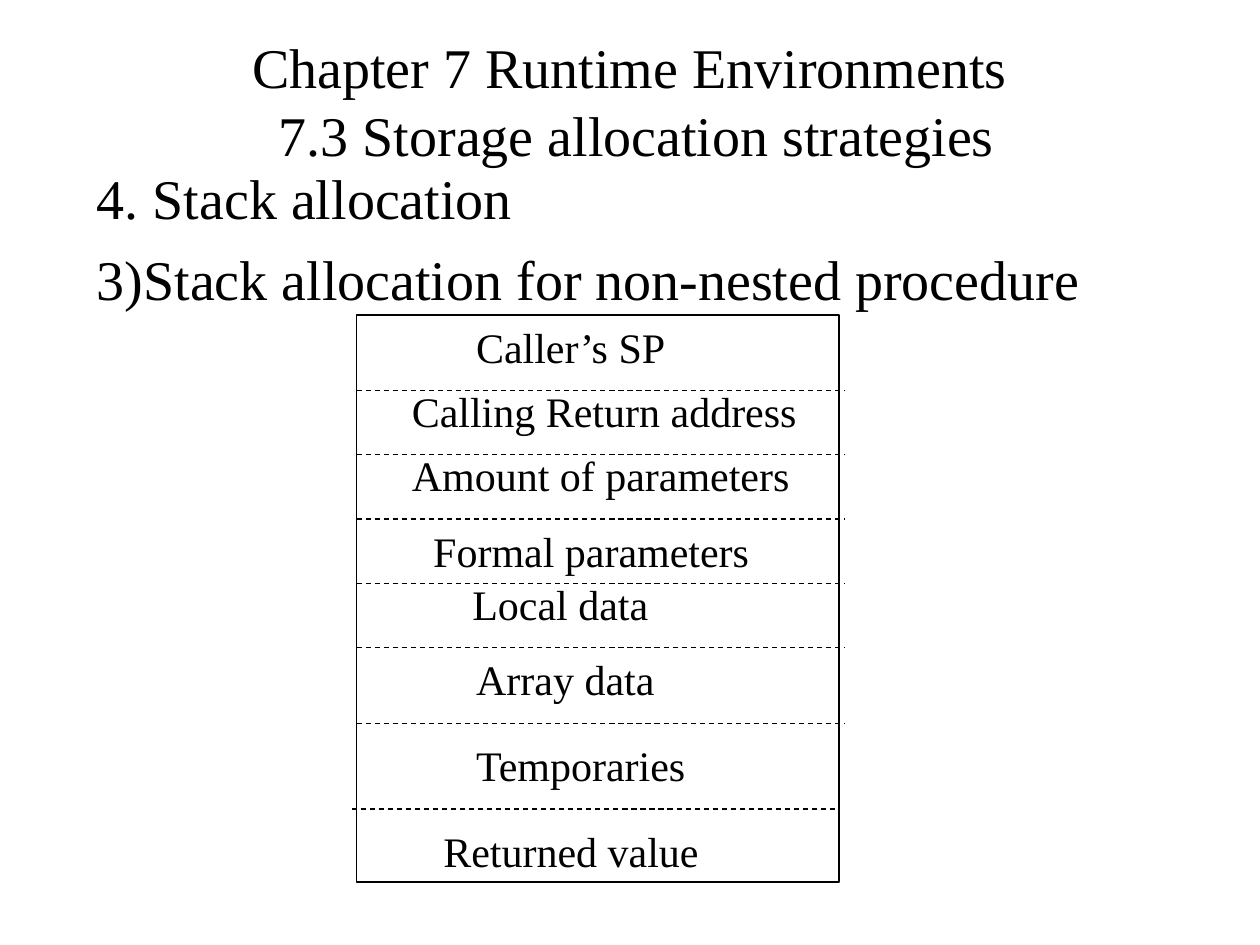
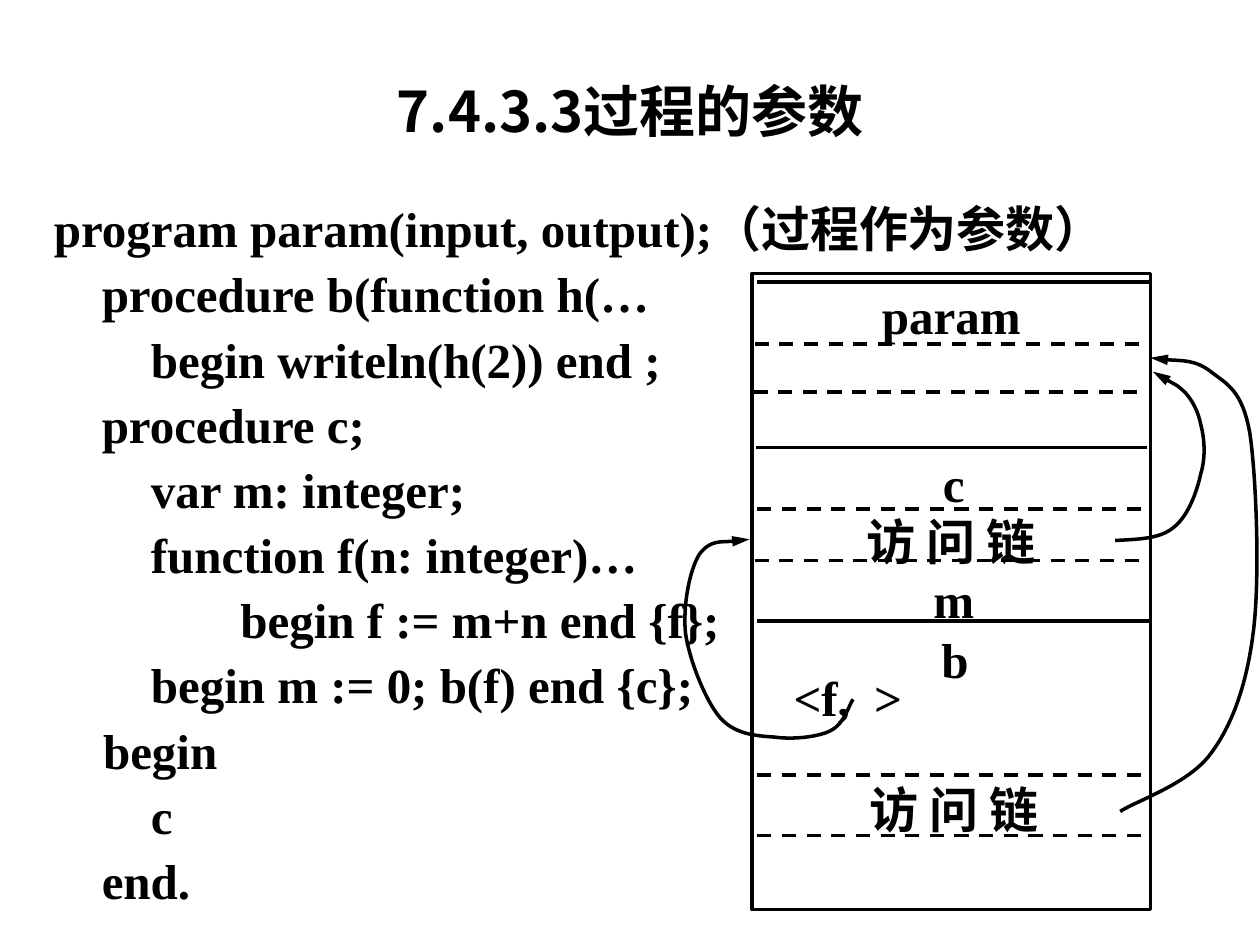
from dataclasses import dataclass
from typing import NamedTuple

from lxml.etree import SubElement
from pptx import Presentation
from pptx.dml.color import RGBColor
from pptx.enum.dml import MSO_LINE
from pptx.enum.shapes import MSO_CONNECTOR, MSO_SHAPE
from pptx.enum.text import MSO_ANCHOR, PP_ALIGN
from pptx.oxml.ns import qn
from pptx.util import Emu, Pt

EMU_PER_PX = 9144


@dataclass(frozen=True)
class Theme:
    ink: RGBColor = RGBColor(0, 0, 0)
    latin: str = "Times New Roman"
    chinese: str = "Noto Sans CJK SC"
    title_size: int = 32
    code_size: int = 28
    label_size: int = 24
    thin: float = 0.75
    thick: float = 2


class Box(NamedTuple):
    left: int
    top: int
    width: int
    height: int


class Label(NamedTuple):
    text: str
    box: Box


class Rule(NamedTuple):
    left: int
    right: int
    top: int
    dashed: bool = True


class CodeLine(NamedTuple):
    text: str
    indent: int


THEME = Theme()

RECORD_FRAME = Box(283, 250, 383, 450)
RECORD_LABELS = [
    Label("Caller’s SP", Box(368, 250, 180, 50)),
    Label("Calling Return address", Box(317, 301, 335, 50)),
    Label("Amount of parameters", Box(317, 352, 330, 50)),
    Label("Formal parameters", Box(334, 412, 280, 50)),
    Label("Local data", Box(365, 454, 178, 50)),
    Label("Array data", Box(368, 514, 171, 50)),
    Label("Temporaries", Box(368, 582, 198, 50)),
    Label("Returned value", Box(342, 650, 300, 50)),
]
RECORD_RULES = [Rule(283, 671, top) for top in (310, 361, 412, 463, 514, 574)]
RECORD_RULES.append(Rule(279, 667, 642))

CODE = [
    CodeLine("program param(input, output);（过程作为参数）", 0),
    CodeLine("procedure b(function h(…", 38),
    CodeLine("begin writeln(h(2)) end ;", 77),
    CodeLine("procedure c;", 38),
    CodeLine("var m: integer;", 77),
    CodeLine("function f(n: integer)…", 77),
    CodeLine("begin f := m+n end {f};", 148),
    CodeLine("begin m := 0; b(f) end {c};", 77),
    CodeLine("begin", 39),
    CodeLine("c", 77),
    CodeLine("end.", 38),
]

STACK_FRAME = Box(597, 217, 316, 505)
STACK_RULES = [
    Rule(601, 912, 224, False),
    Rule(599, 910, 273),
    Rule(598, 908, 311),
    Rule(600, 910, 355, False),
    Rule(601, 912, 404),
    Rule(599, 910, 445),
    Rule(601, 912, 493, False),
    Rule(601, 912, 615),
    Rule(601, 912, 663),
]
STACK_LABELS = [
    Label("param", Box(608, 222, 294, 51)),
    Label("c", Box(610, 355, 294, 52)),
    Label("访 问 链", Box(608, 401, 294, 51)),
    Label("m", Box(610, 447, 294, 51)),
    Label("b", Box(611, 495, 294, 51)),
    Label("访 问 链", Box(610, 614, 294, 51)),
]
ACCESS_LINKS = [
    [(889, 644), (901, 636), (944, 622), (961, 598), (979, 574), (990, 541), (995, 499),
     (1000, 456), (997, 378), (992, 344), (986, 310), (974, 305), (961, 295),
     (948, 285), (921, 286), (913, 284)],
    [(885, 429), (902, 428), (920, 428), (931, 419), (943, 410), (950, 390), (953, 376),
     (957, 363), (956, 348), (953, 337), (951, 327), (947, 319), (941, 312),
     (934, 305), (919, 298), (915, 295)],
    [(677, 555), (674, 559), (670, 575), (659, 580), (649, 585), (629, 587), (615, 585),
     (600, 584), (583, 583), (571, 569), (560, 556), (547, 524), (544, 502),
     (542, 481), (547, 453), (555, 440), (564, 428), (589, 430), (595, 428)],
]


def px(length: int) -> Emu:
    return Emu(length * EMU_PER_PX)


def add_text(slide, text: str, box: Box, *, size: int, bold: bool = False,
             latin: str = THEME.latin, align=PP_ALIGN.LEFT, anchor=MSO_ANCHOR.TOP,
             space_before: float = 0, line_spacing: float = 1.0,
             indents: tuple[int, ...] = (), tab_stop: int = 0) -> None:
    frame = slide.shapes.add_textbox(*map(px, box)).text_frame
    frame.word_wrap = True
    frame.vertical_anchor = anchor
    for index, line in enumerate(text.split("\n")):
        paragraph = frame.add_paragraph() if index else frame.paragraphs[0]
        paragraph.text = line
        paragraph.alignment = align
        paragraph.line_spacing = line_spacing
        if index:
            paragraph.space_before = Pt(space_before)
        properties = paragraph._p.get_or_add_pPr()
        if indents:
            properties.set("marL", str(px(indents[index])))
        if tab_stop:
            tabs = SubElement(properties, qn("a:tabLst"))
            SubElement(tabs, qn("a:tab"), pos=str(px(tab_stop)), algn="l")
        for run in paragraph.runs:
            run.font.name = latin
            run.font.size = Pt(size)
            run.font.bold = bold
            run.font.color.rgb = THEME.ink
            east_asian = SubElement(run._r.get_or_add_rPr(), qn("a:ea"))
            east_asian.set("typeface", THEME.chinese)


def add_title(slide, text: str, box: Box, **style) -> None:
    add_text(slide, text, box, size=THEME.title_size, align=PP_ALIGN.CENTER,
             anchor=MSO_ANCHOR.MIDDLE, **style)


def outline(shape, width: float) -> None:
    shape.line.color.rgb = THEME.ink
    shape.line.width = Pt(width)


def add_frame(slide, box: Box, width: float) -> None:
    shape = slide.shapes.add_shape(MSO_SHAPE.RECTANGLE, *map(px, box))
    shape.shadow.inherit = False
    shape.fill.background()
    outline(shape, width)


def add_rule(slide, rule: Rule, width: float) -> None:
    connector = slide.shapes.add_connector(
        MSO_CONNECTOR.STRAIGHT, px(rule.left), px(rule.top), px(rule.right), px(rule.top))
    outline(connector, width)
    if rule.dashed:
        connector.line.dash_style = MSO_LINE.DASH
    SubElement(connector._element.spPr, qn("a:effectLst"))


def add_curved_arrow(slide, points: list[tuple[int, int]]) -> None:
    builder = slide.shapes.build_freeform(*points[0], scale=EMU_PER_PX)
    builder.add_line_segments(points[1:], close=False)
    shape = builder.convert_to_shape()
    shape.shadow.inherit = False
    shape.fill.background()
    outline(shape, THEME.thick)
    path = shape._element.spPr.find(".//" + qn("a:path"))
    segments = path.findall(qn("a:lnTo"))
    for start in range(0, len(segments), 3):
        curve = SubElement(path, qn("a:cubicBezTo"))
        for segment in segments[start:start + 3]:
            curve.append(segment[0])
            path.remove(segment)
    SubElement(shape.line._get_or_add_ln(), qn("a:tailEnd"),
               type="triangle", w="med", len="lg")


def build_stack_allocation(slide) -> None:
    add_title(slide, "Chapter 7 Runtime Environments\v 7.3 Storage allocation strategies",
              Box(75, 17, 850, 125))
    add_text(slide, "4. Stack allocation\n3)Stack allocation for non-nested procedure",
             Box(67, 125, 900, 583), size=THEME.title_size, space_before=8)
    add_frame(slide, RECORD_FRAME, THEME.thin)
    for rule in RECORD_RULES:
        add_rule(slide, rule, THEME.thin)
    for label in RECORD_LABELS:
        add_text(slide, label.text, label.box, size=THEME.label_size)


def build_procedure_parameters(slide) -> None:
    add_title(slide, "7.4.3.3过程的参数", Box(17, 25, 967, 125),
              bold=True, latin=THEME.chinese)
    add_text(slide, "\n".join(line.text for line in CODE), Box(33, 158, 933, 592),
             size=THEME.code_size, bold=True, align=PP_ALIGN.JUSTIFY, space_before=7,
             line_spacing=0.9, indents=tuple(line.indent for line in CODE))
    add_frame(slide, STACK_FRAME, THEME.thick)
    for rule in STACK_RULES:
        add_rule(slide, rule, THEME.thick)
    for label in STACK_LABELS:
        add_text(slide, label.text, label.box, size=THEME.code_size, bold=True,
                 align=PP_ALIGN.CENTER)
    add_text(slide, "<f,\t>", Box(620, 525, 284, 51), size=THEME.code_size, bold=True,
             tab_stop=64)
    for points in ACCESS_LINKS:
        add_curved_arrow(slide, points)


def main() -> None:
    presentation = Presentation()
    presentation.slide_width, presentation.slide_height = px(1000), px(750)
    for build in (build_stack_allocation, build_procedure_parameters):
        build(presentation.slides.add_slide(presentation.slide_layouts[6]))
    presentation.save("out.pptx")


if __name__ == "__main__":
    main()
